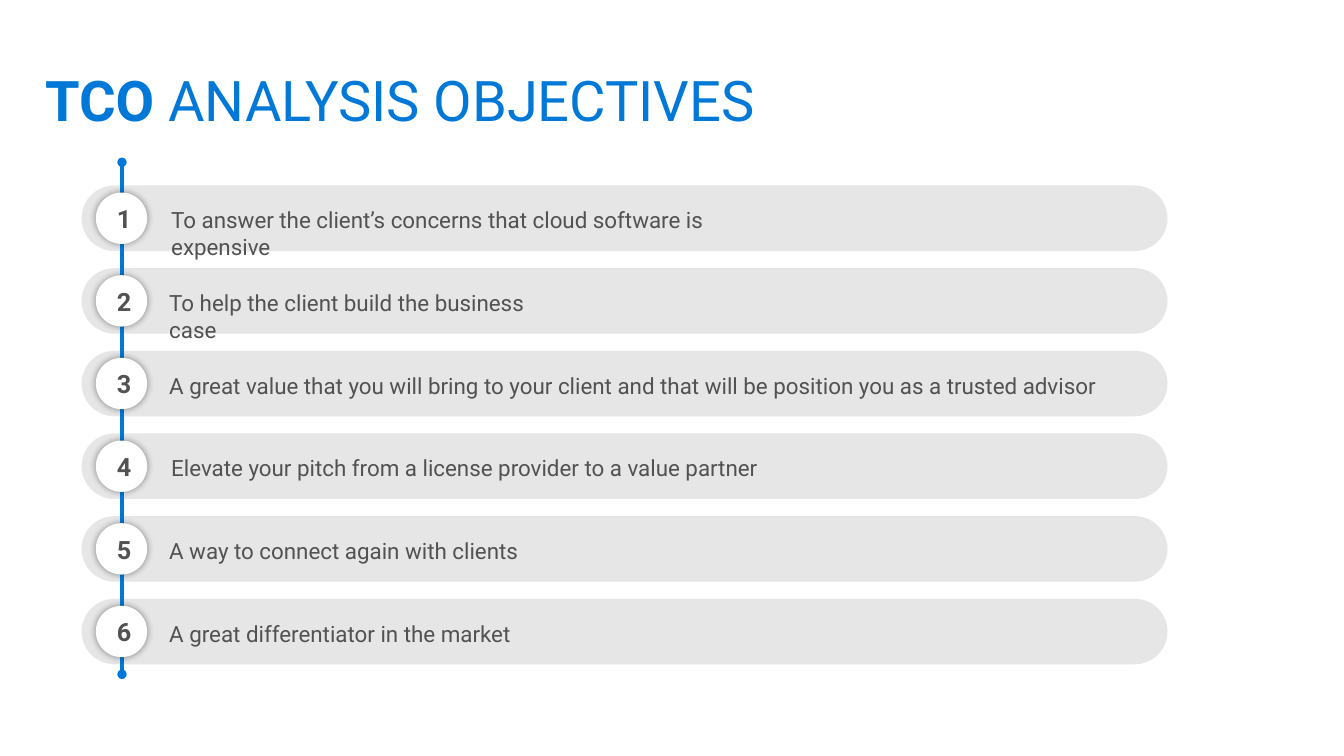
from dataclasses import dataclass

import pptx
import pptx.dml.color
import pptx.enum.shapes
import pptx.enum.text
import pptx.oxml
import pptx.oxml.ns
import pptx.util

Inches = pptx.util.Inches
Pt = pptx.util.Pt
RGBColor = pptx.dml.color.RGBColor
MSO_SHAPE = pptx.enum.shapes.MSO_SHAPE
qn = pptx.oxml.ns.qn

BLUE = RGBColor(0x00, 0x78, 0xD7)
GRAY = RGBColor(0xE6, 0xE6, 0xE6)
DARK = RGBColor(0x52, 0x52, 0x52)
WHITE = RGBColor(0xFF, 0xFF, 0xFF)
FONT = "Roboto"

PITCH = 0.82
BAR_TOP, BADGE_TOP, NUMBER_TOP, TEXT_TOP = 1.84, 1.91, 1.97, 2.0
LINE_X = 1.21


@dataclass
class Objective:
    text: str
    left: float
    width: float


OBJECTIVES = [
    Objective("To answer the client’s concerns that cloud software is expensive", 1.6, 6.33),
    Objective("To help the client build the business case", 1.58, 4.19),
    Objective("A great value that you will bring to your client and that will be "
              "position you as a trusted advisor", 1.58, 9.62),
    Objective("Elevate your pitch from a license provider to a value partner", 1.6, 6.08),
    Objective("A way to connect again with clients", 1.58, 3.67),
    Objective("A great differentiator in the market", 1.58, 3.65),
]


def add_filled(shapes, kind, left: float, top: float, width: float, height: float,
               color: RGBColor):
    sp = shapes.add_shape(kind, Inches(left), Inches(top), Inches(width), Inches(height))
    sp.fill.solid()
    sp.fill.fore_color.rgb = color
    sp.line.fill.background()
    sp.shadow.inherit = False
    return sp


def add_text(shapes, text: str, left: float, top: float, width: float, height: float,
             size: float, color: RGBColor, bold: bool = False, wrap: bool = True):
    sp = shapes.add_textbox(Inches(left), Inches(top), Inches(width), Inches(height))
    tf = sp.text_frame
    tf.word_wrap = wrap
    tf.auto_size = pptx.enum.text.MSO_AUTO_SIZE.SHAPE_TO_FIT_TEXT
    tf.text = text
    format_run(tf.paragraphs[0].runs[0], size, color, bold)
    return sp


def format_run(r, size: float, color: RGBColor, bold: bool) -> None:
    r.font.name = FONT
    r.font.size = Pt(size)
    r.font.bold = bold
    r.font.color.rgb = color


def add_glow_shadow(sp) -> None:
    """Add a soft shadow that spreads evenly around the shape."""
    effects = sp._element.spPr.find(qn("a:effectLst"))
    effects.append(pptx.oxml.parse_xml(
        '<a:outerShdw xmlns:a="http://schemas.openxmlformats.org/drawingml/2006/main" '
        f'blurRad="{Pt(5)}" dist="0" dir="0" algn="ctr" rotWithShape="0">'
        '<a:srgbClr val="000000"><a:alpha val="40000"/></a:srgbClr></a:outerShdw>'))


def add_timeline(shapes) -> None:
    line = shapes.add_connector(pptx.enum.shapes.MSO_CONNECTOR.STRAIGHT, Inches(LINE_X),
                                Inches(1.61), Inches(LINE_X), Inches(6.69))
    line.line.color.rgb = BLUE
    line.line.width = Pt(2.25)
    ln = line.line._get_or_add_ln()
    for end in ("a:headEnd", "a:tailEnd"):
        ln.append(pptx.oxml.parse_xml(
            f'<{end} xmlns:a="http://schemas.openxmlformats.org/drawingml/2006/main" '
            'type="oval"/>'))
    spPr = line._element.spPr
    spPr.append(spPr.makeelement(qn("a:effectLst"), {}))


def add_badge(shapes, number: int, offset: float) -> None:
    group = shapes.add_group_shape()
    circle = add_filled(group.shapes, MSO_SHAPE.OVAL, 0.95, BADGE_TOP + offset,
                        0.51, 0.51, WHITE)
    add_glow_shadow(circle)
    add_text(group.shapes, str(number), 1.06, NUMBER_TOP + offset, 0.35, 0.4,
             18, DARK, bold=True, wrap=False)


def main() -> None:
    prs = pptx.Presentation()
    prs.slide_width = Inches(13.33)
    prs.slide_height = Inches(7.5)
    shapes = prs.slides.add_slide(prs.slide_layouts[6]).shapes

    for i in range(len(OBJECTIVES)):
        bar = add_filled(shapes, MSO_SHAPE.ROUNDED_RECTANGLE, 0.81, BAR_TOP + i * PITCH,
                         10.77, 0.65, GRAY)
        bar.adjustments[0] = 0.5
    add_timeline(shapes)
    for i, objective in enumerate(OBJECTIVES):
        add_badge(shapes, i + 1, i * PITCH)
        add_text(shapes, objective.text, objective.left, TEXT_TOP + i * PITCH,
                 objective.width, 0.37, 16, DARK)

    title = add_text(shapes, "TCO ", 0.35, 0.6, 7.72, 0.77, 40, BLUE, bold=True)
    r = title.text_frame.paragraphs[0].add_run()
    r.text = "ANALYSIS OBJECTIVES"
    format_run(r, 40, BLUE, False)

    prs.save("out.pptx")


if __name__ == "__main__":
    main()
